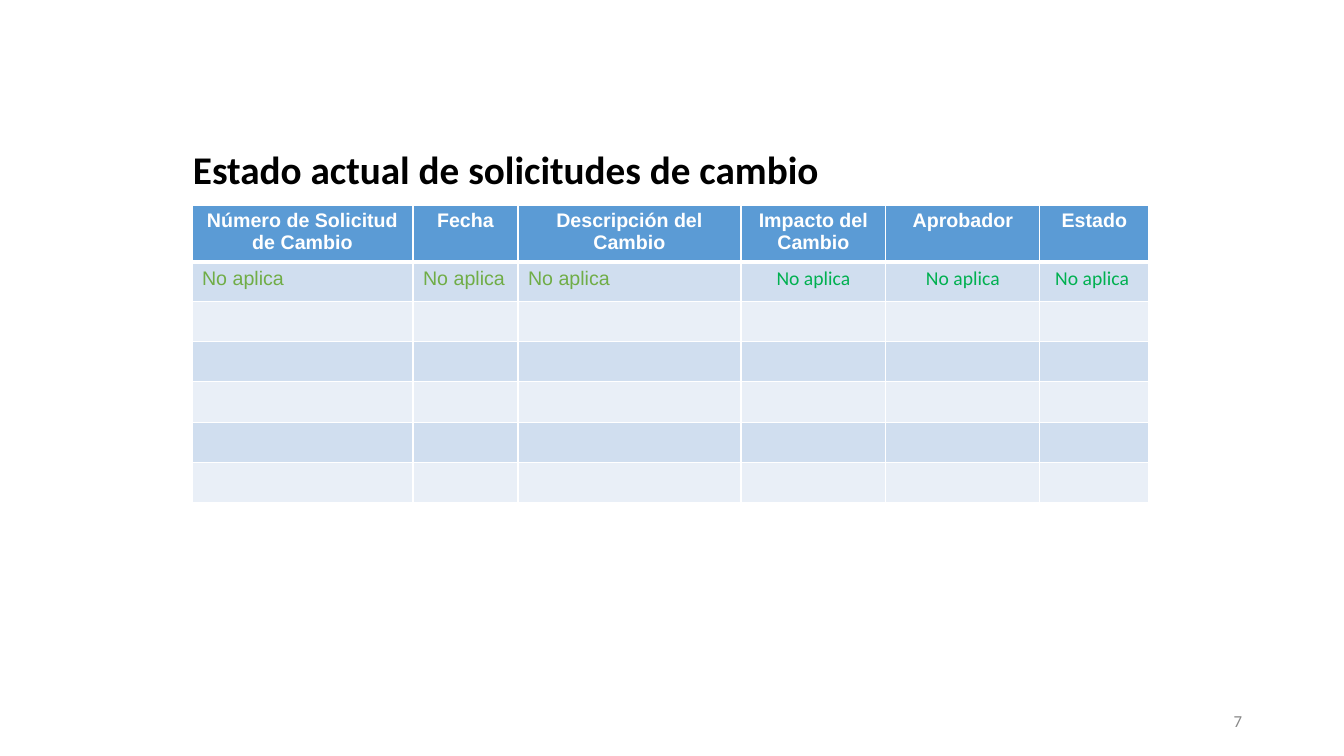
from lxml import etree
from pptx import Presentation, util as u
from pptx.dml.color import RGBColor
from pptx.enum import text
from pptx.oxml import ns

PIXEL = 914400 / 100.8
COLORS = {
    "title": "000000", "number": "888888", "header": "5B9BD5",
    "odd": "D0DEEF", "even": "E9EFF7", "white": "FFFFFF",
    "olive": "70AD47", "green": "00B050",
}
LEFT, CENTER, RIGHT = text.PP_ALIGN.LEFT, text.PP_ALIGN.CENTER, text.PP_ALIGN.RIGHT
HEADERS = ["Número de Solicitud de Cambio", "Fecha", "Descripción del Cambio",
           "Impacto del Cambio", "Aprobador", "Estado"]
ENTRIES = ["No aplica"] * 5 + ["No aplica "]
COLUMN_WIDTHS = [221, 105, 223, 145, 154, 109]
ROW_COUNT, ROW_HEIGHT = 7, 39


def px(pixels):
    """Turn pixels into EMU."""
    return u.Emu(round(pixels * PIXEL))


def color(name):
    """Look up a named colour."""
    return RGBColor.from_string(COLORS[name])


def write(frame, wording, size, font_name, ink, bold=False, align=LEFT):
    """Write one formatted run into a text frame."""
    paragraph = frame.paragraphs[0]
    paragraph.alignment = align
    run = paragraph.add_run()
    run.text = wording
    run.font.size = u.Pt(size)
    run.font.name = font_name
    run.font.bold = bold
    run.font.color.rgb = color(ink)


def add_label(slide, box, *wording, **style):
    """Add a text box whose text is centred vertically."""
    frame = slide.shapes.add_textbox(*map(px, box)).text_frame
    frame.word_wrap = True
    frame.vertical_anchor = text.MSO_ANCHOR.MIDDLE
    write(frame, *wording, **style)


def set_borders(cell, bottom):
    """Give a cell white borders, with its own bottom width in points."""
    properties = cell._tc.get_or_add_tcPr()
    sides = {"lnL": 1, "lnR": 1, "lnT": 1, "lnB": bottom}
    for index, (side, width) in enumerate(sides.items()):
        line = etree.Element(ns.qn(f"a:{side}"), w=str(u.Pt(width)))
        fill = etree.SubElement(line, ns.qn("a:solidFill"))
        etree.SubElement(fill, ns.qn("a:srgbClr"), val=COLORS["white"])
        properties.insert(index, line)


def add_requests_table(slide, left, top):
    """Add the banded table of change requests."""
    table = slide.shapes.add_table(
        ROW_COUNT, len(HEADERS), px(left), px(top),
        px(sum(COLUMN_WIDTHS)), px(ROW_COUNT * ROW_HEIGHT)).table
    table.horz_banding = False
    for column, width in zip(table.columns, COLUMN_WIDTHS):
        column.width = px(width)
    for number, row in enumerate(table.rows):
        row.height = px(ROW_HEIGHT)
        band = "header" if number == 0 else "odd" if number % 2 else "even"
        for cell in row.cells:
            cell.fill.solid()
            cell.fill.fore_color.rgb = color(band)
            set_borders(cell, bottom=3 if number == 0 else 1)
    for index, (header, entry) in enumerate(zip(HEADERS, ENTRIES)):
        write(table.cell(0, index).text_frame, header, 14, "Arial", "white",
              bold=True, align=CENTER)
        style = ("Arial", "olive", False, LEFT) if index < 3 else (
            "Calibri", "green", False, CENTER)
        write(table.cell(1, index).text_frame, entry, 14, *style)


def main():
    """Build the slide and save it."""
    presentation = Presentation()
    presentation.slide_width, presentation.slide_height = px(1344), px(756)
    slide = presentation.slides.add_slide(presentation.slide_layouts[6])
    add_label(slide, (183, 149, 857, 39), "Estado actual de solicitudes de cambio",
              28, "Calibri", "title", bold=True)
    add_label(slide, (950, 701, 302, 40), "7", 12, "Calibri", "number", align=RIGHT)
    add_requests_table(slide, 192, 205)
    presentation.save("out.pptx")


main()
